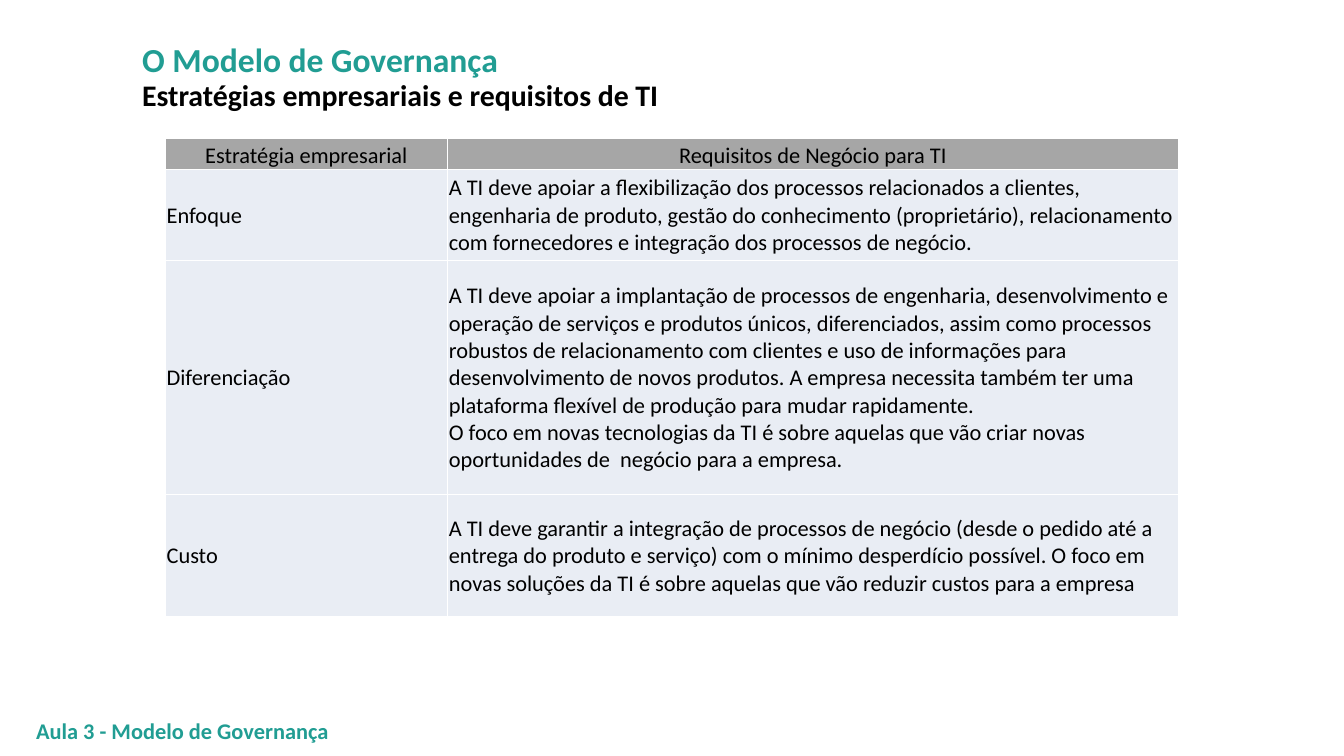
from dataclasses import dataclass

from lxml import etree
from pptx import Presentation
from pptx import util as u
from pptx.dml.color import RGBColor
from pptx.enum import text
from pptx.oxml.ns import qn


@dataclass(frozen=True)
class Theme:
    font: str = "Calibri"
    accent: str = "219D93"
    ink: str = "000000"
    header_fill: str = "A6A6A6"
    body_fill: str = "E9EDF4"
    border: str = "FFFFFF"
    title_size: int = 18
    subtitle_size: int = 16
    text_size: int = 12


THEME = Theme()
# The 16:9 slide is a grid of square units, 100 columns wide
SLIDE_COLUMNS = 100
SLIDE_ROWS = SLIDE_COLUMNS * 9 / 16

HEADER = ("Estratégia empresarial", "Requisitos de Negócio para TI")
STRATEGIES = (
    ("Enfoque",
     "A TI deve apoiar a flexibilização dos processos relacionados a clientes, "
     "engenharia de produto, gestão do conhecimento (proprietário), relacionamento "
     "com fornecedores e integração dos processos de negócio."),
    ("Diferenciação",
     "A TI deve apoiar a implantação de processos de engenharia, desenvolvimento e "
     "operação de serviços e produtos únicos, diferenciados, assim como processos "
     "robustos de relacionamento com clientes e uso de informações para "
     "desenvolvimento de novos produtos. A empresa necessita também ter uma "
     "plataforma flexível de produção para mudar rapidamente.\v"
     "O foco em novas tecnologias da TI é sobre aquelas que vão criar novas "
     "oportunidades de  negócio para a empresa."),
    ("Custo",
     "A TI deve garantir a integração de processos de negócio (desde o pedido até a "
     "entrega do produto e serviço) com o mínimo desperdício possível. O foco em "
     "novas soluções da TI é sobre aquelas que vão reduzir custos para a empresa"),
)
COLUMN_WIDTHS = (21, 54.4)
ROW_HEIGHTS = (2.3, 6.8, 17.4, 9.1)


def grid(units):
    return u.Inches(units / 10)


def format_runs(text_frame, size, color, bold=False):
    for paragraph in text_frame.paragraphs:
        for run in paragraph.runs:
            run.font.name = THEME.font
            run.font.size = u.Pt(size)
            run.font.bold = bold
            run.font.color.rgb = RGBColor.from_string(color)


def add_heading(slide, wording, column, row, width, height, size, color):
    shape = slide.shapes.add_textbox(*map(grid, (column, row, width, height)))
    shape.text_frame.word_wrap = False
    shape.text_frame.auto_size = text.MSO_AUTO_SIZE.SHAPE_TO_FIT_TEXT
    shape.text_frame.text = wording
    format_runs(shape.text_frame, size, color, bold=True)


def add_borders(cell):
    properties = cell._tc.get_or_add_tcPr()
    for side in ("a:lnL", "a:lnR", "a:lnT", "a:lnB"):
        line = etree.SubElement(properties, qn(side), w=str(u.Pt(1)))
        fill = etree.SubElement(line, qn("a:solidFill"))
        etree.SubElement(fill, qn("a:srgbClr"), val=THEME.border)


def style_cell(cell, wording, is_header):
    cell.text_frame.text = wording
    format_runs(cell.text_frame, THEME.text_size, THEME.ink)
    cell.margin_left = cell.margin_right = cell.margin_top = u.Inches(0.01)
    cell.margin_bottom = 0
    anchor = text.MSO_ANCHOR
    cell.vertical_anchor = anchor.BOTTOM if is_header else anchor.MIDDLE
    if is_header:
        cell.text_frame.paragraphs[0].alignment = text.PP_ALIGN.CENTER
    add_borders(cell)
    cell.fill.solid()
    color = THEME.header_fill if is_header else THEME.body_fill
    cell.fill.fore_color.rgb = RGBColor.from_string(color)


def add_strategy_table(slide, column, row):
    contents = (HEADER, *STRATEGIES)
    table = slide.shapes.add_table(
        len(contents), len(HEADER), grid(column), grid(row),
        grid(sum(COLUMN_WIDTHS)), grid(sum(ROW_HEIGHTS))).table
    for table_column, width in zip(table.columns, COLUMN_WIDTHS):
        table_column.width = grid(width)
    for table_row, height in zip(table.rows, ROW_HEIGHTS):
        table_row.height = grid(height)
    for row_index, wordings in enumerate(contents):
        for column_index, wording in enumerate(wordings):
            style_cell(table.cell(row_index, column_index), wording, row_index == 0)


def main():
    presentation = Presentation()
    presentation.slide_width = grid(SLIDE_COLUMNS)
    presentation.slide_height = grid(SLIDE_ROWS)
    slide = presentation.slides.add_slide(presentation.slide_layouts[6])

    # Headings
    add_heading(slide, "Estratégias empresariais e requisitos de TI",
                9.6, 5.2, 40.9, 3.7, THEME.subtitle_size, THEME.ink)
    add_heading(slide, "O Modelo de Governança",
                9.6, 2.4, 29.3, 4, THEME.title_size, THEME.accent)

    # Footer
    add_heading(slide, "Aula 3 - Modelo de Governança",
                1.7, 52.9, 24.1, 3, THEME.text_size, THEME.accent)

    # Strategies and their requirements
    add_strategy_table(slide, 12.3, 10.3)

    presentation.save("out.pptx")


if __name__ == "__main__":
    main()
